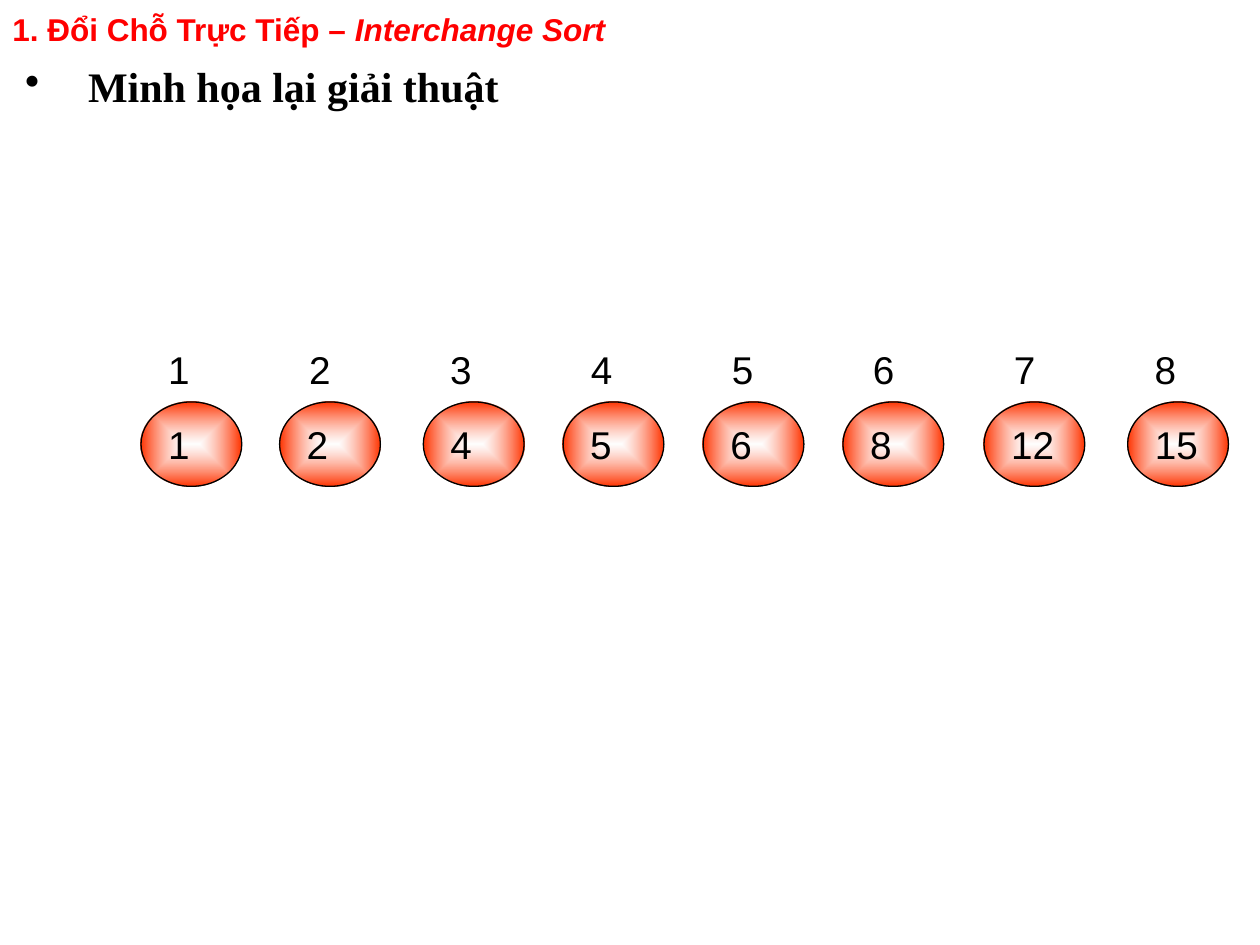
from lxml import etree
from pptx import Presentation
from pptx import util as u
from pptx.dml import color
from pptx.enum import shapes, text
from pptx.oxml import parse_xml
from pptx.oxml.ns import nsdecls, qn

GRADIENT = """<a:gradFill {ns} rotWithShape="0"><a:gsLst>
<a:gs pos="0"><a:srgbClr val="{inner}"><a:alpha val="60000"/></a:srgbClr></a:gs>
<a:gs pos="100000"><a:srgbClr val="{outer}"/></a:gs></a:gsLst>
<a:path path="shape"><a:fillToRect l="50000" t="50000" r="50000" b="50000"/></a:path>
</a:gradFill>"""


def rgb(value):
    return color.RGBColor.from_string(value)


class SlideBuilder:
    black, red, inner, outer = "000000", "FF0000", "FFFFFF", "FF3300"
    number = {"name": "Arial", "size": u.Pt(22.1)}
    title = {"name": "Arial", "size": u.Pt(18), "bold": True}
    heading = {"name": "Times New Roman", "size": u.Pt(24), "bold": True}

    def __init__(self, slide):
        self.slide = slide

    def add_span(self, para, words, formats, ink):
        span = para.add_run()
        span.text = words
        for name, value in formats.items():
            setattr(span.font, name, value)
        span.font.color.rgb = rgb(ink)

    def add_text(self, frame, spans, ink):
        box = self.slide.shapes.add_textbox(*map(u.Pt, frame))
        box.text_frame.word_wrap = True
        box.text_frame.vertical_anchor = text.MSO_ANCHOR.MIDDLE
        para = box.text_frame.paragraphs[0]
        para.line_spacing = 0.9
        for words, formats in spans:
            self.add_span(para, words, formats, ink)
        return para

    def add_bullet(self, para, indent):
        properties = para._p.get_or_add_pPr()
        properties.set("marL", str(u.Pt(indent)))
        properties.set("indent", str(-u.Pt(indent)))
        etree.SubElement(properties, qn("a:buChar")).set("char", "•")

    def add_oval(self, parent, left, top, words):
        oval = parent.add_shape(shapes.MSO_SHAPE.OVAL,
                                *map(u.Pt, (left, top, 57.6, 48.24)))
        oval.shadow.inherit = False
        oval.fill.background()
        oval.line.fill.background()
        frame = oval.text_frame
        frame.word_wrap = True
        frame.auto_size = text.MSO_AUTO_SIZE.SHAPE_TO_FIT_TEXT
        frame.vertical_anchor = text.MSO_ANCHOR.TOP
        para = frame.paragraphs[0]
        para.alignment = text.PP_ALIGN.LEFT
        self.add_span(para, words, self.number, self.black)
        return oval

    def add_ball(self, left, top, words):
        ball = self.add_oval(self.slide.shapes, left, top, words)
        ball.line.color.rgb = rgb(self.black)
        ball.line.width = u.Pt(0.75)
        properties = ball.element.spPr
        gradient = parse_xml(GRADIENT.format(
            ns=nsdecls("a"), inner=self.inner, outer=self.outer))
        properties.replace(properties.find(qn("a:noFill")), gradient)

    def add_indexes(self, left, top, pitch, count):
        group = self.slide.shapes.add_group_shape()
        for index in range(count):
            self.add_oval(group.shapes, left + index * pitch, top, str(index + 1))


def main():
    deck = Presentation()
    deck.slide_width, deck.slide_height = u.Pt(720), u.Pt(540)
    page = SlideBuilder(deck.slides.add_slide(deck.slide_layouts[6]))

    heading = page.add_text((7.2, 23.04, 668.88, 55.44),
                            [("Minh họa lại giải thuật", page.heading)], page.black)
    page.add_bullet(heading, 36)

    values = (1, 2, 4, 5, 6, 8, 12, 15)
    lefts = (80.6, 159.8, 241.9, 321.8, 401.8, 481.7, 562.3, 644.4)
    for left, value in zip(lefts, values):
        page.add_ball(left, 229.7, str(value))
    page.add_indexes(80.6, 187.2, 80.54, len(values))

    page.add_text((0, 0, 668.88, 36),
                  [("1. Đổi Chỗ Trực Tiếp – ", page.title),
                   ("Interchange Sort", {**page.title, "italic": True})], page.red)
    deck.save("out.pptx")


if __name__ == "__main__":
    main()
